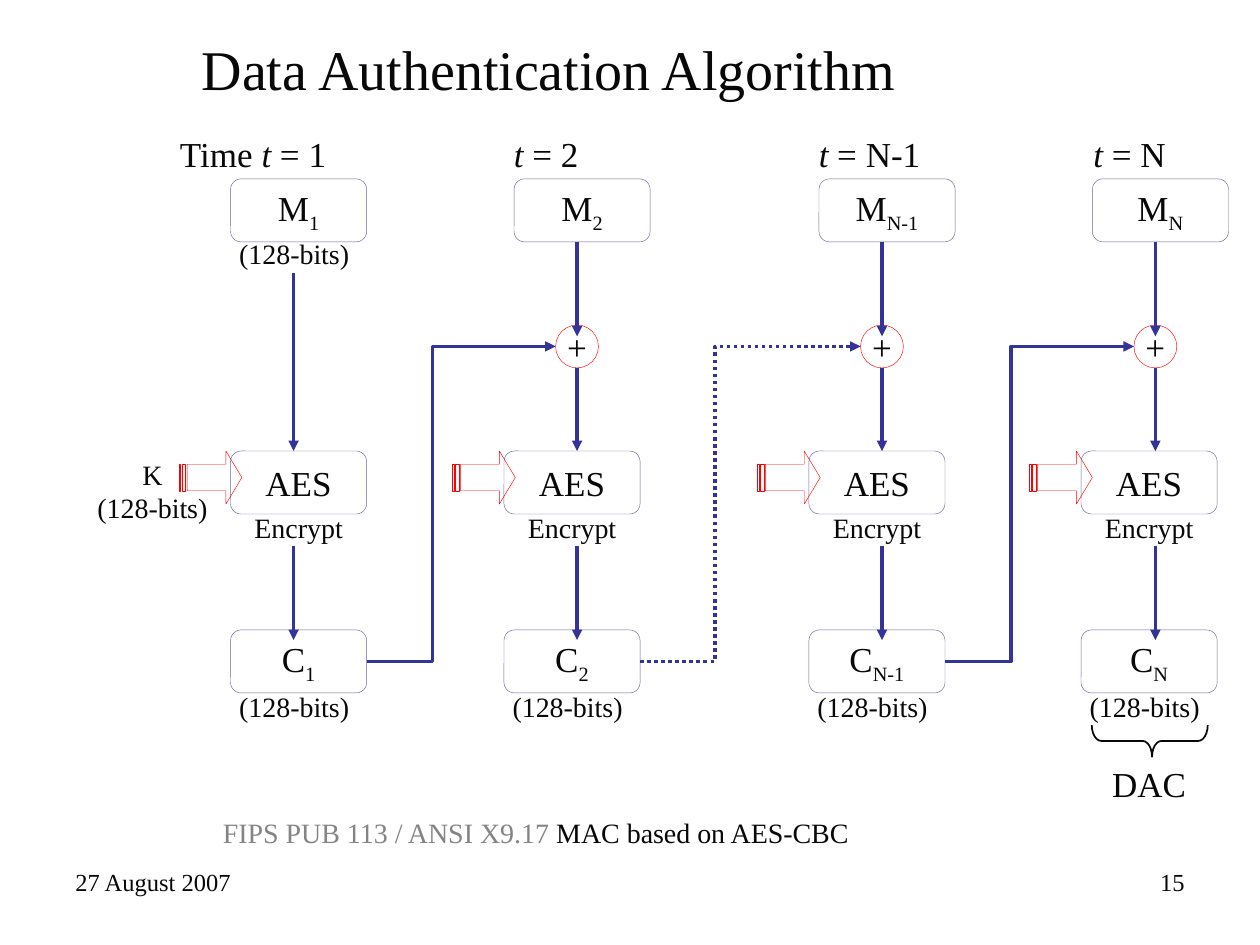
"""Build the Data Authentication Algorithm slide, a CBC chain of four AES stages."""
from dataclasses import dataclass

from lxml.etree import SubElement
from pptx import Presentation
from pptx.dml.color import RGBColor
from pptx.enum.dml import MSO_LINE
from pptx.enum.shapes import MSO_CONNECTOR, MSO_SHAPE
from pptx.enum.text import MSO_ANCHOR, PP_ALIGN
from pptx.oxml.ns import qn
from pptx.util import Inches, Pt


@dataclass(frozen=True)
class Theme:
    font: str = "Times New Roman"
    text: RGBColor = RGBColor(0x08, 0x08, 0x08)
    muted: RGBColor = RGBColor(0x84, 0x84, 0x84)
    box: RGBColor = RGBColor(0x66, 0x66, 0x99)
    flow: RGBColor = RGBColor(0x33, 0x33, 0x99)
    accent: RGBColor = RGBColor(0xFF, 0x00, 0x00)
    title_size: Pt = Pt(32)
    large: Pt = Pt(20)
    small: Pt = Pt(16)
    footer: Pt = Pt(14)
    thin: Pt = Pt(0.25)
    medium: Pt = Pt(1)
    thick: Pt = Pt(2)


theme = Theme()
presentation = Presentation()
presentation.slide_width = Inches(10)
presentation.slide_height = Inches(7.5)
slide = presentation.slides.add_slide(presentation.slide_layouts[5])


def add_text(position, paragraphs, size, align=PP_ALIGN.CENTER, kind=None, outline=None):
    """Add a label, or an outlined shape if a kind is given, with (text, style) runs."""
    place = [Inches(length) for length in position]
    if kind is None:
        shape = slide.shapes.add_textbox(*place)
    else:
        shape = slide.shapes.add_shape(kind, *place)
        shape.shadow.inherit = False
        shape.fill.background()
        shape.line.color.rgb = outline
        shape.line.width = theme.thin
        shape.text_frame.vertical_anchor = MSO_ANCHOR.MIDDLE
    frame = shape.text_frame
    frame.word_wrap = kind is None
    for index, runs in enumerate(paragraphs):
        paragraph = frame.add_paragraph() if index else frame.paragraphs[0]
        paragraph.alignment = align
        paragraph.font.name = theme.font
        paragraph.font.size = size
        paragraph.font.color.rgb = theme.text
        for text, style in runs:
            run = paragraph.add_run()
            run.text = text
            run.font.color.rgb = theme.muted if style == "muted" else theme.text
            if style == "italic":
                run.font.italic = True
            if style == "subscript":
                run.font._element.set("baseline", "-25000")


def add_flow(start, end, bend=None, dash=None):
    """Add a flow arrow, straight or bent at the given share of its width."""
    kind = MSO_CONNECTOR.ELBOW if bend else MSO_CONNECTOR.STRAIGHT
    connector = slide.shapes.add_connector(kind, *[Inches(length) for length in start + end])
    connector.line.color.rgb = theme.flow
    connector.line.width = theme.thick
    if dash:
        connector.line.dash_style = dash
    properties = connector._element.spPr
    SubElement(properties.find(qn("a:ln")), qn("a:tailEnd"), type="triangle")
    SubElement(properties, qn("a:effectLst"))
    if bend:
        adjustments = properties.find(qn("a:prstGeom")).find(qn("a:avLst"))
        SubElement(adjustments, qn("a:gd"), name="adj1", fmla=f"val {round(bend * 100000)}")


title = slide.shapes.title
title.left, title.top, title.width, title.height = Inches(1.5), Inches(0.08), Inches(8.07), Inches(0.92)
title.text_frame.text = "Data Authentication Algorithm"
title.text_frame.vertical_anchor = MSO_ANCHOR.MIDDLE
heading = title.text_frame.paragraphs[0]
heading.alignment = PP_ALIGN.LEFT
heading.font.name = theme.font
heading.font.size = theme.title_size
heading.font.color.rgb = theme.text

box_width, box_height = 1.08, 0.5
message_top, sum_center, cipher_top, output_top = 1.42, 2.75, 3.58, 5
sum_radius = 0.17
bits = [[("(128-bits)", "")]]
stages = [
    ("1", "Time ", 1.33, 1.83, 1.83),
    ("2", "", 3.98, 4.08, 4),
    ("N-1", "", 6.4, 6.5, 6.42),
    ("N", "", 8.58, 8.67, 8.58),
]

for index, (step, prefix, time_left, message_left, cipher_left) in enumerate(stages):
    flow_x = message_left + 0.5
    time_runs = [(prefix, "")] if prefix else []
    time_runs += [("t", "italic"), (f" = {step}", "")]
    add_text((time_left, 1, 1.42, 0.44), [time_runs], theme.large, PP_ALIGN.LEFT)

    boxes = [
        (message_left, message_top, [("M", ""), (step, "subscript")]),
        (cipher_left, cipher_top, [("AES", "")]),
        (cipher_left, output_top, [("C", ""), (step, "subscript")]),
    ]
    for left, top, runs in boxes:
        add_text((left, top, box_width, box_height), [runs], theme.large,
                 kind=MSO_SHAPE.ROUNDED_RECTANGLE, outline=theme.box)
    add_text((cipher_left, 4, box_width, 0.37), [[("Encrypt", "")]], theme.small)
    add_text((cipher_left - 0.08, 5.42, 1.17, 0.37), bits, theme.small)

    key_arrow = slide.shapes.add_shape(
        MSO_SHAPE.STRIPED_RIGHT_ARROW, Inches(cipher_left - 0.41), Inches(cipher_top), Inches(0.5), Inches(0.42))
    key_arrow.shadow.inherit = False
    key_arrow.fill.background()
    key_arrow.line.color.rgb = theme.accent
    key_arrow.line.width = theme.thin
    key_arrow.adjustments[1] = 0.3

    if index == 0:
        add_text((1.75, 1.83, 1.17, 0.37), bits, theme.small)
        add_flow((flow_x, 2.17), (flow_x, cipher_top))
    else:
        add_text((flow_x - sum_radius, sum_center - sum_radius, 2 * sum_radius, 2 * sum_radius),
                 [[("+", "")]], theme.large, kind=MSO_SHAPE.OVAL, outline=theme.accent)
        add_flow((flow_x, message_top + box_height), (flow_x, 2.67))
        add_flow((flow_x, sum_center + sum_radius), (flow_x, cipher_top))
        skipped = step == "N-1"
        previous_right = stages[index - 1][4] + box_width
        add_flow((previous_right, output_top + box_height / 2), (flow_x - sum_radius, sum_center),
                 bend=0.34 if skipped else 0.35, dash=MSO_LINE.ROUND_DOT if skipped else None)
    add_flow((flow_x, 4.33), (flow_x, 5.08))

add_text((0.67, 3.58, 1.08, 0.64), [[("K", "")], *bits], theme.small)

brace = slide.shapes.add_shape(MSO_SHAPE.LEFT_BRACE, Inches(9), Inches(5.42), Inches(0.25), Inches(0.92))
brace.rotation = 270
brace.shadow.inherit = False
brace.fill.background()
brace.line.color.rgb = theme.text
brace.line.width = theme.medium
brace.adjustments[0] = 0.3
brace.adjustments[1] = 0.52
add_text((8.58, 6, box_width, 0.44), [[("DAC", "")]], theme.large)

add_text((1.67, 6.42, 6.58, 0.37),
         [[("FIPS PUB 113 / ANSI X9.17 ", "muted"), ("MAC based on AES-CBC", "")]], theme.small, PP_ALIGN.LEFT)
add_text((0.5, 6.83, 2.33, 0.52), [[("27 August 2007", "")]], theme.footer, PP_ALIGN.LEFT)
add_text((7.17, 6.83, 2.33, 0.52), [[("15", "")]], theme.footer, PP_ALIGN.RIGHT)

presentation.save("out.pptx")
